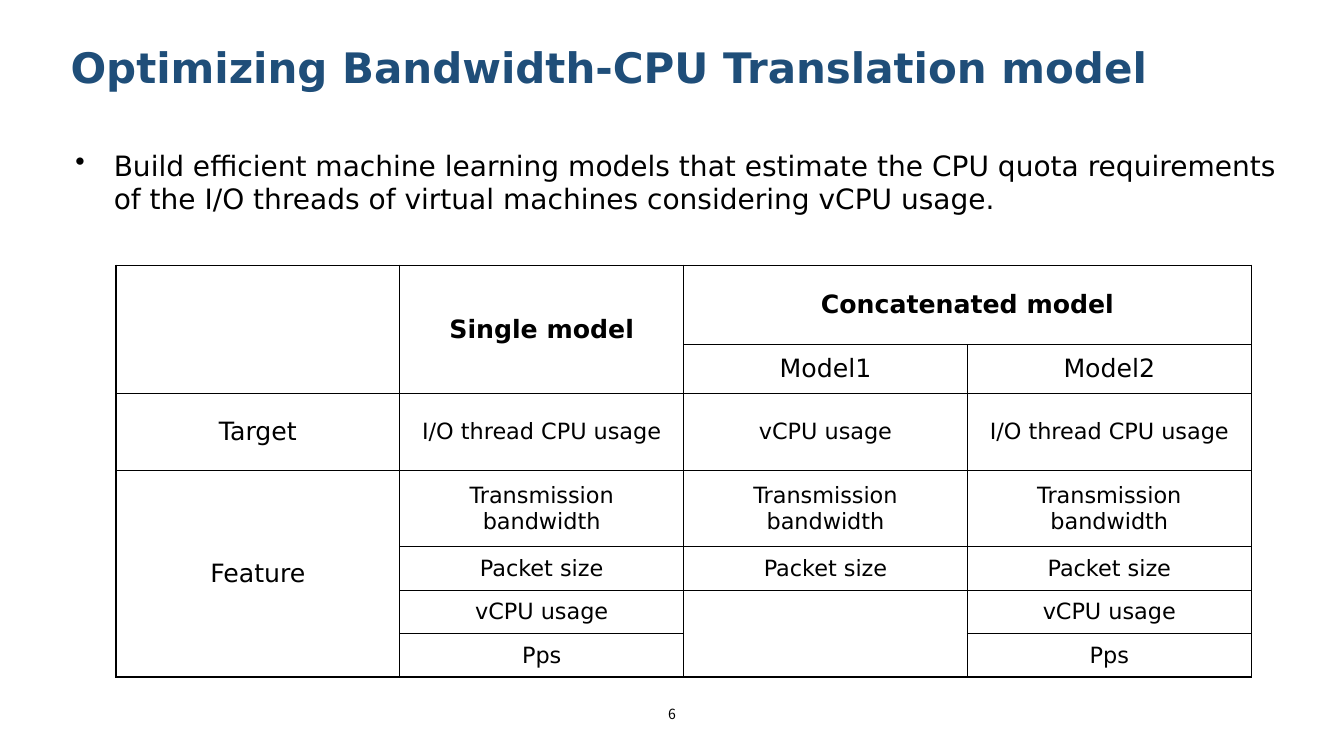
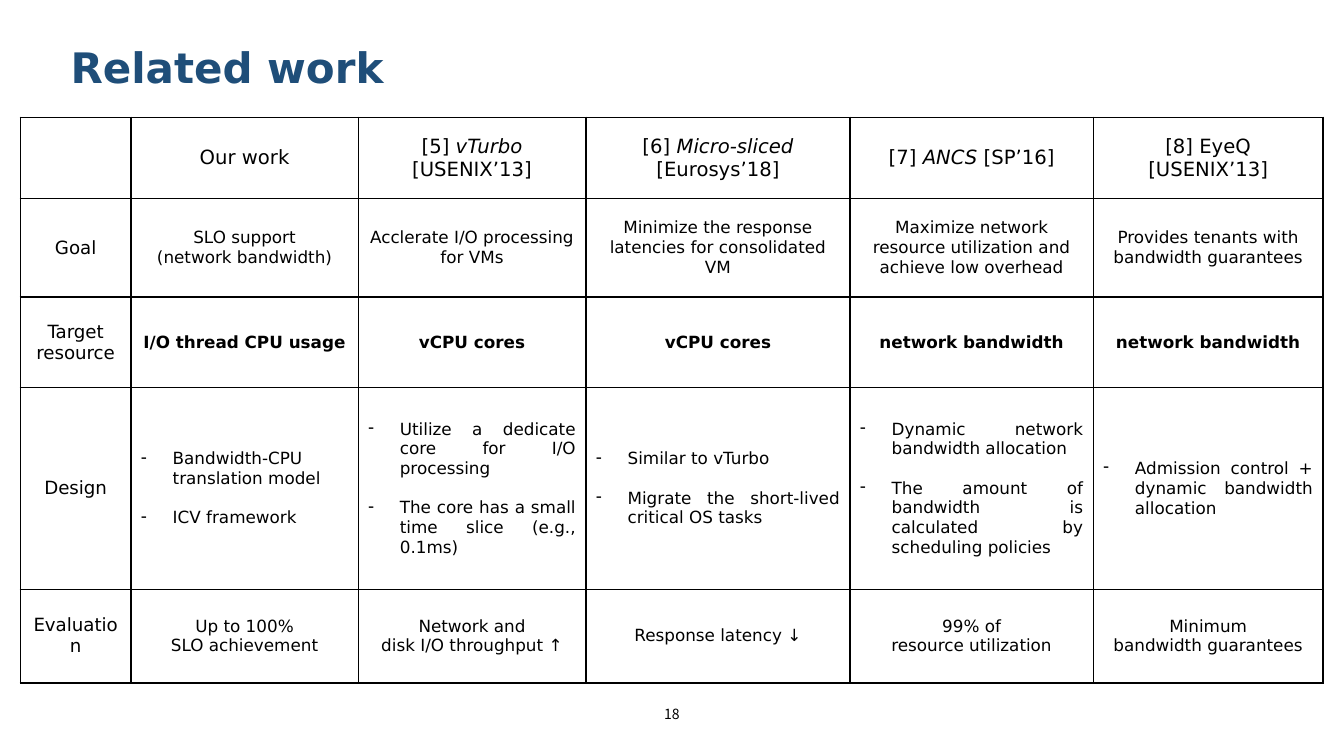
from dataclasses import dataclass

from lxml.etree import SubElement as Sub
from pptx import Presentation
from pptx.dml.color import RGBColor as Rgb
from pptx.enum.text import MSO_ANCHOR as Anchor
from pptx.enum.text import MSO_AUTO_SIZE as Fit
from pptx.enum.text import PP_ALIGN as Align
from pptx.oxml.ns import qn
from pptx.util import Inches, Pt


@dataclass(frozen=True)
class Theme:
    face: str = "DejaVu Sans"
    page: str = "Noto Sans CJK KR"
    navy: str = "1F4E79"
    ink: str = "000000"
    title: int = 30
    body: int = 20
    foot: int = 10
    rule: int = 1


look = Theme()
deck = Presentation()
deck.slide_width, deck.slide_height = Inches(13.33), Inches(7.5)
wide, high = deck.slide_width / 100, deck.slide_height / 100


def style(par, size, bold=False, ink=look.ink, face=look.face, align=Align.LEFT):
    par.alignment = align
    font = par.font
    font.size, font.bold, font.name = Pt(size), bold, face
    font.color.rgb = Rgb.from_string(ink)


def bullet(par, mark, dent):
    props = par._p.get_or_add_pPr()
    props.set("marL", str(int(dent * wide)))
    props.set("indent", str(int(-dent * wide)))
    Sub(props, qn("a:buChar"), char=mark)


pages = [
    dict(
        title="Optimizing Bandwidth-CPU Translation model",
        number="6",
        lead="Build efficient machine learning models that estimate the CPU quota requirements\v"
             "of the I/O threads of virtual machines considering vCPU usage.",
        left=8.63, top=35.07,
        cols=[21.12] * 4,
        rows=[10.55, 6.45, 10.15, 10.1] + [5.75] * 3,
        head=[18, 18, 18, 18, 18, 18, 18],
        size=[18, 18, 16, 16, 16, 16, 16],
        bold=0,
        spans=[(0, 0, 1, 0), (0, 1, 1, 1), (0, 2, 0, 3), (3, 0, 6, 0), (5, 2, 6, 2)],
        cells=[
            ["", "Single model", "Concatenated model", ""],
            ["", "", "Model1", "Model2"],
            ["Target", "I/O thread CPU usage", "vCPU usage", "I/O thread CPU usage"],
            ["Feature"] + ["Transmission bandwidth"] * 3,
            [""] + ["Packet size"] * 3,
            ["", "vCPU usage", "", "vCPU usage"],
            ["", "Pps", "", "Pps"],
        ],
    ),
    dict(
        title="Related work",
        number="18",
        lead="",
        left=1.5, top=15.5,
        cols=[8.25, 16.9, 16.95, 19.65, 18.1, 17.1],
        rows=[10.75, 13.05, 12, 26.65, 12.4],
        head=[14, 13, 13, 13, 13],
        size=[14, 12, 12, 12, 12],
        bold=2,
        spans=[],
        cells=[
            ["", "Our work", "[5] *vTurbo* [USENIX’13]", "[6] *Micro-sliced* [Eurosys’18]",
             "[7] *ANCS* [SP’16]", "[8] EyeQ [USENIX’13]"],
            ["Goal", "SLO support\n(network bandwidth)", "Acclerate I/O processing for VMs",
             "Minimize the response latencies for consolidated VM",
             "Maximize network resource utilization and achieve low overhead",
             "Provides tenants with bandwidth guarantees"],
            ["Target resource", "I/O thread CPU usage", "vCPU cores", "vCPU cores",
             "network bandwidth", "network bandwidth"],
            ["Design", "- Bandwidth-CPU translation model\n- ICV framework",
             "- Utilize a dedicate core for I/O processing\n"
             "- The core has a small time slice (e.g., 0.1ms)",
             "- Similar to vTurbo\n- Migrate the short-lived critical OS tasks",
             "- Dynamic network bandwidth allocation\n"
             "- The amount of bandwidth is calculated by scheduling policies",
             "- Admission control + dynamic bandwidth allocation"],
            ["Evaluation", "Up to 100%\nSLO achievement", "Network and\ndisk I/O throughput ↑",
             "Response latency ↓", "99% of\nresource utilization",
             "Minimum\nbandwidth guarantees"],
        ],
    ),
]

for page in pages:
    slide = deck.slides.add_slide(deck.slide_layouts[5])

    title = slide.shapes.title
    title.left, title.top = int(4.5 * wide), int(4.8 * high)
    title.width, title.height = int(91 * wide), int(8.1 * high)
    frame = title.text_frame
    frame.text = page["title"]
    frame.auto_size, frame.vertical_anchor = Fit.NONE, Anchor.TOP
    style(frame.paragraphs[0], look.title, True, look.navy)

    if page["lead"]:
        box = slide.shapes.add_textbox(
            int(4.88 * wide), int(18.93 * high), int(93 * wide), int(10 * high))
        box.text_frame.word_wrap = True
        par = box.text_frame.paragraphs[0]
        par.text = page["lead"]
        bullet(par, "•", 2.85)
        style(par, look.body)

    foot = slide.shapes.add_textbox(
        int(45 * wide), int(92.7 * high), int(10 * wide), int(3.6 * high))
    foot.text_frame.word_wrap = True
    par = foot.text_frame.paragraphs[0]
    par.text = page["number"]
    style(par, look.foot, face=look.page, align=Align.CENTER)

    cols, rows = page["cols"], page["rows"]
    table = slide.shapes.add_table(
        len(rows), len(cols), int(page["left"] * wide), int(page["top"] * high),
        int(sum(cols) * wide), int(sum(rows) * high)).table
    table.first_row = table.horz_banding = False
    for col, share in zip(table.columns, cols):
        col.width = int(share * wide)
    for row, share in zip(table.rows, rows):
        row.height = int(share * high)

    for r, line in enumerate(page["cells"]):
        for c, text in enumerate(line):
            cell = table.cell(r, c)
            cell.vertical_anchor = Anchor.MIDDLE
            props = cell._tc.get_or_add_tcPr()
            for side in ("lnL", "lnR", "lnT", "lnB"):
                edge = Sub(props, qn("a:" + side), w=str(Pt(look.rule)))
                Sub(Sub(edge, qn("a:solidFill")), qn("a:srgbClr"), val=look.ink)
            cell.fill.background()

            size = page["size"][r] if c else page["head"][r]
            bold = c > 0 and r == page["bold"]
            frame = cell.text_frame
            for n, item in enumerate(text.split("\n")):
                par = frame.add_paragraph() if n else frame.paragraphs[0]
                listed = item.startswith("- ")
                for k, part in enumerate(item.removeprefix("- ").split("*")):
                    if part:
                        run = par.add_run()
                        run.text = part
                        if k % 2:
                            run.font.italic = True
                if listed:
                    bullet(par, "-", 2.35)
                    par.space_before = Pt(14 if n else 0)
                style(par, size, bold, align=Align.JUSTIFY if listed else Align.CENTER)

    for r, c, low, far in page["spans"]:
        table.cell(r, c).merge(table.cell(low, far))

deck.save("out.pptx")
